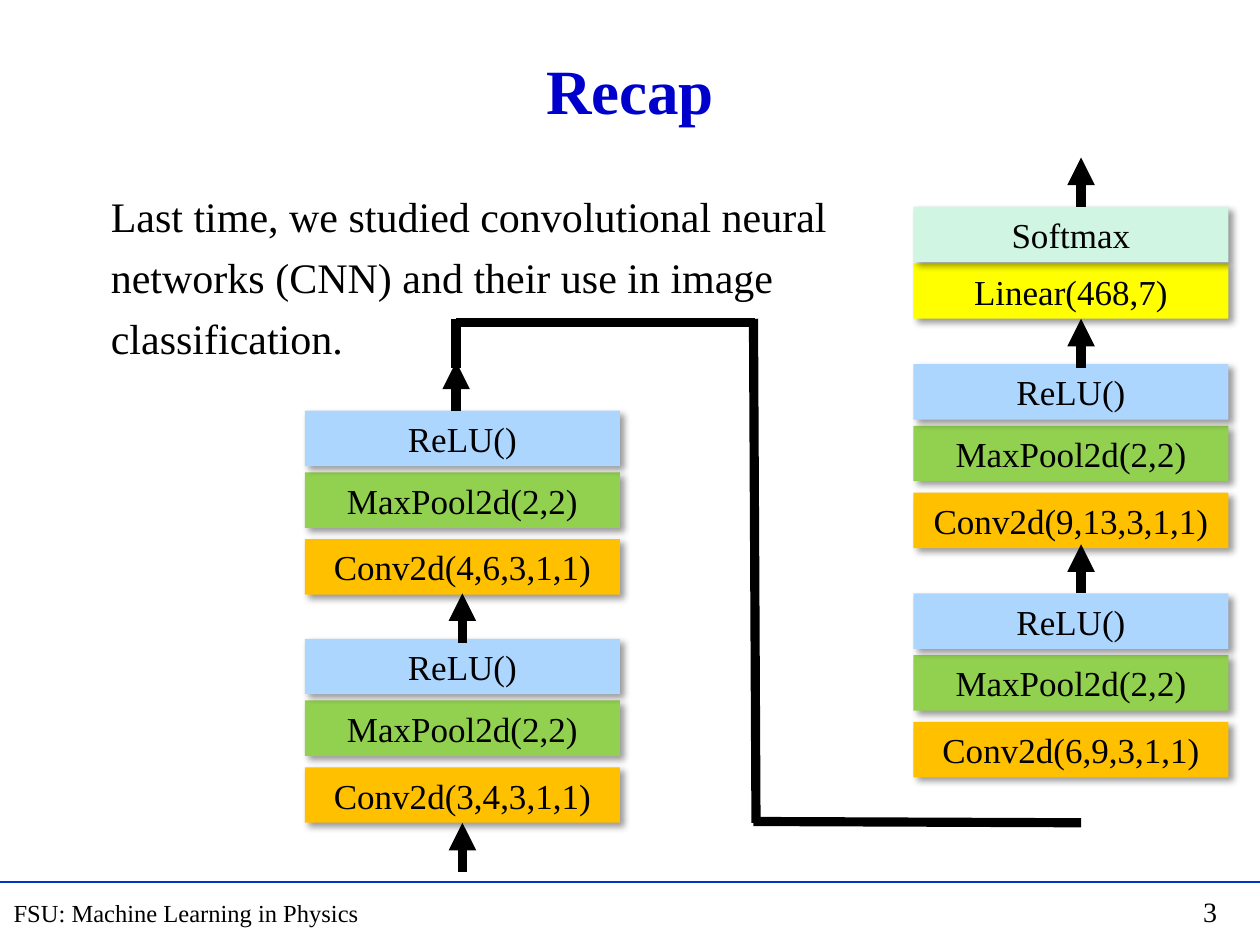
from lxml.etree import SubElement
from pptx import Presentation
from pptx.dml.color import RGBColor
from pptx.enum.shapes import MSO_CONNECTOR, MSO_SHAPE
from pptx.enum.text import MSO_ANCHOR, MSO_AUTO_SIZE, PP_ALIGN
from pptx.oxml.ns import qn
from pptx.util import Inches, Pt

FONT = "Times New Roman"
WIDE, HIGH = Inches(2.5), Inches(0.44)
BLUE, GREEN, GOLD = "ADD6FF", "92D050", "FFC000"


def color(code):
    return RGBColor.from_string(code)


def style(para, size, code="000000", bold=False):
    for run in para.runs:
        font = run.font
        font.name, font.size, font.bold = FONT, Pt(size), bold
        font.color.rgb = color(code)


def place(shape, left, top, width, height):
    shape.left, shape.top, shape.width, shape.height = left, top, width, height


def add_title(slide, text, *box):
    title = slide.shapes.title
    place(title, *box)
    frame = title.text_frame
    frame.text = text
    frame.vertical_anchor = MSO_ANCHOR.MIDDLE
    frame.auto_size = MSO_AUTO_SIZE.NONE
    frame.paragraphs[0].alignment = PP_ALIGN.CENTER
    style(frame.paragraphs[0], 36, "0000CC", True)


def add_body(slide, lines, *box):
    body = slide.placeholders[1]
    place(body, *box)
    frame = body.text_frame
    frame.text = "\n".join(lines)
    frame.auto_size = MSO_AUTO_SIZE.NONE
    for i, para in enumerate(frame.paragraphs):
        props = para._p.get_or_add_pPr()
        props.set("marL", "0")
        props.set("indent", "0")
        SubElement(props, qn("a:buNone"))
        para.space_before = Pt(6 if i else 0)
        style(para, 24)


def add_line(slide, start, end, width=5.25, code="000000", arrow=False):
    line = slide.shapes.add_connector(MSO_CONNECTOR.STRAIGHT, *start, *end)
    line.line.width = Pt(width)
    line.line.color.rgb = color(code)
    if arrow:
        SubElement(line.line._get_or_add_ln(), qn("a:tailEnd"), type="triangle")
    SubElement(line._element.spPr, qn("a:effectLst"))


def add_arrow(slide, left, top):
    """Draw an arrow that points up to the given spot."""
    add_line(slide, (left, top + Inches(0.39)), (left, top), arrow=True)


def add_shadow(shape):
    shape.shadow.inherit = False
    effects = shape._element.spPr.find(qn("a:effectLst"))
    shadow = SubElement(effects, qn("a:outerShdw"), blurRad=str(Pt(4)),
                        dist=str(Pt(3)), dir="2700000", algn="tl", rotWithShape="0")
    black = SubElement(shadow, qn("a:srgbClr"), val="000000")
    SubElement(black, qn("a:alpha"), val="40000")


def add_layer(slide, text, code, left, top):
    layer = slide.shapes.add_shape(MSO_SHAPE.RECTANGLE, left, top, WIDE, HIGH)
    layer.fill.solid()
    layer.fill.fore_color.rgb = color(code)
    layer.line.fill.background()
    add_shadow(layer)
    frame = layer.text_frame
    frame.text = text
    frame.word_wrap = True
    frame.vertical_anchor = MSO_ANCHOR.MIDDLE
    frame.paragraphs[0].alignment = PP_ALIGN.CENTER
    style(frame.paragraphs[0], 20)


def add_block(slide, conv, left, top):
    """Stack one convolution, pooling and activation, bottom to top."""
    add_layer(slide, f"Conv2d({conv})", GOLD, left, top + Inches(1.02))
    add_layer(slide, "MaxPool2d(2,2)", GREEN, left, top + Inches(0.49))
    add_layer(slide, "ReLU()", BLUE, left, top)


def add_head(slide, left, top):
    add_layer(slide, "Linear(468,7)", "FFFF00", left, top + Inches(0.45))
    add_layer(slide, "Softmax", "D0F5E3", left, top)


def add_link(slide, left, top, width, height):
    """Lead from the top of one column to the foot of the next."""
    right, foot, mid = left + width, top + height, left + Inches(2.37)
    add_line(slide, (left, top + Inches(0.39)), (left, top))
    add_line(slide, (left, top + Inches(0.03)), (mid, top + Inches(0.03)))
    add_line(slide, (mid + Inches(0.01), foot), (mid - Inches(0.01), top))
    add_line(slide, (mid - Inches(0.01), foot - Inches(0.01)), (right, foot))


def add_note(slide, text, size, *box):
    note = slide.shapes.add_textbox(*box)
    note.text_frame.text = text
    note.text_frame.word_wrap = True
    style(note.text_frame.paragraphs[0], size)


def add_footer(slide, left, top, width):
    add_line(slide, (left, top), (left + width, top), 1, "0033CC")
    add_note(slide, "FSU: Machine Learning in Physics", 14,
             left + Inches(0.01), top + Inches(0.08), Inches(3.2), Inches(0.34))
    add_note(slide, "3", 16, left + width - Inches(0.55), top + Inches(0.05),
             Inches(0.46), Inches(0.37))


def main():
    deck = Presentation()
    deck.slide_width, deck.slide_height = Inches(10), Inches(7.5)
    slide = deck.slides.add_slide(deck.slide_layouts[1])
    add_footer(slide, 0, Inches(7), deck.slide_width)
    add_title(slide, "Recap", Inches(0.75), Inches(0.25), Inches(8.5), Inches(0.92))
    add_body(slide, ["Last time, we studied convolutional neural",
                     "networks (CNN) and their use in image",
                     "classification."],
             Inches(0.78), Inches(1.46), Inches(8.5), Inches(5.23))
    for conv, left, top in [("3,4,3,1,1", 2.42, 5.07), ("4,6,3,1,1", 2.42, 3.26),
                            ("6,9,3,1,1", 7.25, 4.71), ("9,13,3,1,1", 7.25, 2.89)]:
        add_block(slide, conv, Inches(left), Inches(top))
    add_head(slide, Inches(7.25), Inches(1.64))
    for left, top in [(3.67, 6.53), (3.67, 4.71), (3.62, 2.87),
                      (8.58, 4.32), (8.58, 2.53), (8.58, 1.25)]:
        add_arrow(slide, Inches(left), Inches(top))
    add_link(slide, Inches(3.62), Inches(2.53), Inches(4.96), Inches(4))
    deck.save("out.pptx")


if __name__ == "__main__":
    main()
